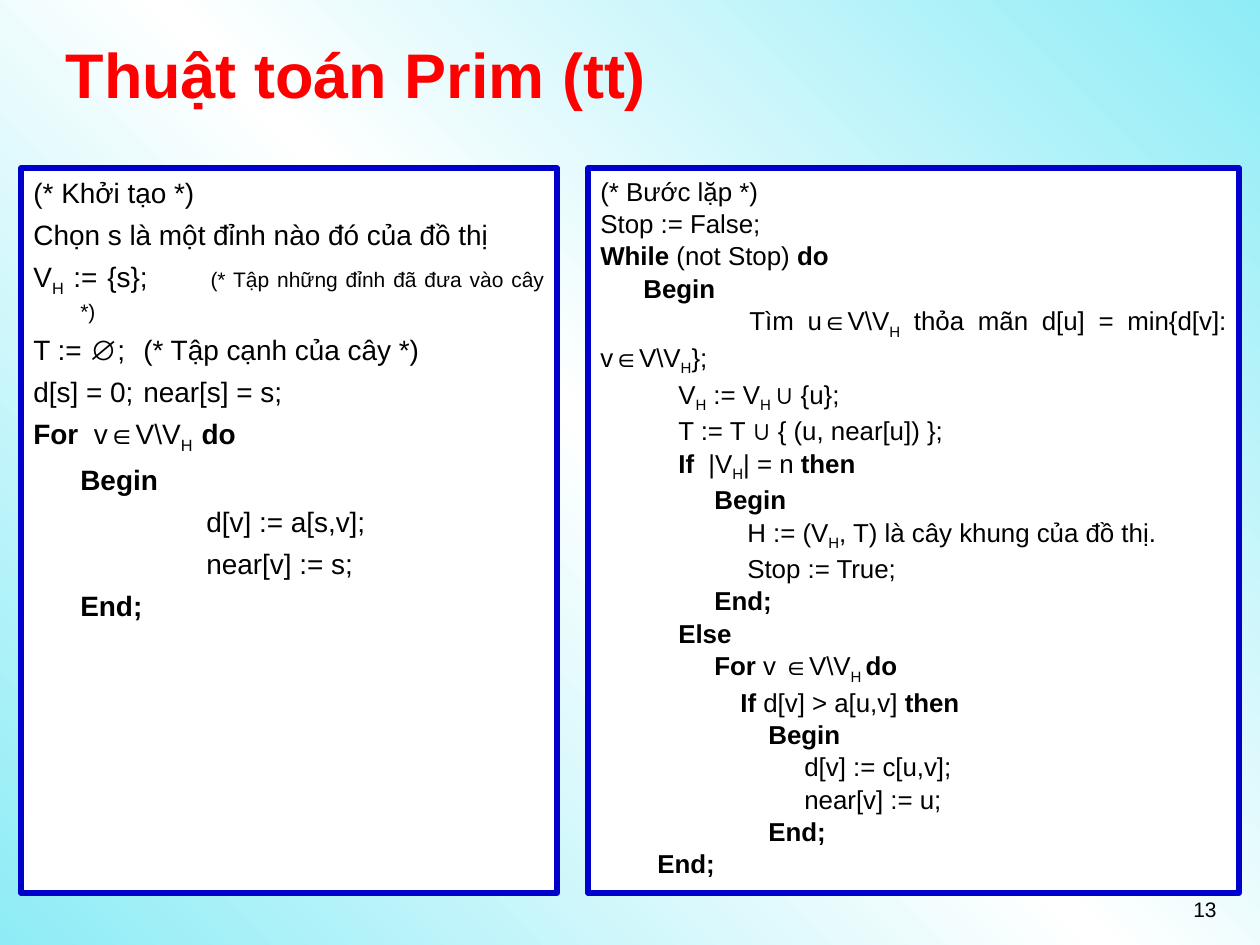
from copy import deepcopy

from pptx import Presentation
from pptx.dml.color import RGBColor
from pptx.enum.shapes import MSO_SHAPE
from pptx.enum.text import MSO_ANCHOR, PP_ALIGN as Align
from pptx.oxml.ns import qn
from pptx.oxml.xmlchemy import OxmlElement as Elem
from pptx.util import Pt

PX = 914400 // 126
FONT = "Arial"
AQUA = RGBColor(0x8E, 0xEC, 0xF6)
WHITE = RGBColor(255, 255, 255)
BLACK = RGBColor(0, 0, 0)
RED = RGBColor(255, 0, 0)
BLUE = RGBColor(0, 0, 0xCC)

# Marks in the code: ` bold, _ subscript, ^ small print; each turns on and off.
# Each line: (left margin, first-line indent, text), in px.
HANG = (47, -47)
START = [
    (*HANG, "(* Khởi tạo *)"),
    (*HANG, "Chọn s là một đỉnh nào đó của đồ thị"),
    (*HANG, "V_H_ := {s};\t^(* Tập những đỉnh đã đưa vào cây *)^"),
    (*HANG, "T := ∅;\t(* Tập cạnh của cây *)"),
    (*HANG, "d[s] = 0;\tnear[s] = s;"),
    (*HANG, "`For  `v∈V\\V_H  _`do`"),
    (47, 0, "`Begin`"),
    (173, 0, "d[v] := a[s,v];"),
    (173, 0, "near[v] := s;"),
    (47, 0, "`End;`"),
]
LOOP = [
    (0, 0, "(* Bước lặp *)"),
    (0, 0, "Stop := False;"),
    (0, 0, "`While` (not Stop) `do`"),
    (43, 0, "`Begin`"),
    (0, 149, "Tìm u∈V\\V_H_ thỏa mãn d[u] = min{d[v]: v∈V\\V_H_};"),
    (78, 0, "V_H_ := V_H _∪ {u};"),
    (78, 0, "T := T ∪ { (u, near[u]) };"),
    (78, 0, "`If`  |V_H_| = n `then`"),
    (114, 0, "`Begin`"),
    (147, 0, "H := (V_H_, T) là cây khung của đồ thị."),
    (147, 0, "Stop := True;"),
    (114, 0, "`End;`"),
    (78, 0, "`Else`"),
    (114, 0, "`For` v ∈V\\V_H _`do`"),
    (140, 0, "`If` d[v] > a[u,v] `then`"),
    (168, 0, "`Begin`"),
    (204, 0, "d[v] := c[u,v];"),
    (204, 0, "near[v] := u;"),
    (168, 0, "`End;`"),
    (57, 0, "`End;`"),
]


def place(shape, box):
    shape.left, shape.top, shape.width, shape.height = (n * PX for n in box)


def add_run(para, text, size=12, color=BLACK, bold=False, sub=False):
    run = para.add_run()
    run.text = text
    font = run.font
    font.name, font.size, font.bold = FONT, Pt(size), bold
    font.color.rgb = color
    if sub:
        font._element.set("baseline", "-25000")


def add_marked(para, text, size):
    """Split the text at its marks and add one run for each part."""
    on = dict.fromkeys("`_^", False)
    part = ""
    for char in text + "`":
        if char not in on:
            part += char
            continue
        if part:
            add_run(para, part, size=12 if on["^"] else size,
                    bold=on["`"], sub=on["_"])
        on[char] = not on[char]
        part = ""


def add_tab(para, pos):
    tabs = Elem("a:tabLst")
    tab = Elem("a:tab")
    tab.set("pos", str(pos * PX))
    tab.set("algn", "l")
    tabs.append(tab)
    para._p.get_or_add_pPr().append(tabs)


def add_code(slide, box, lines, size, gap=0):
    panel = slide.shapes.add_shape(MSO_SHAPE.RECTANGLE, 0, 0, 0, 0)
    place(panel, box)
    panel.shadow.inherit = False
    panel.fill.solid()
    panel.fill.fore_color.rgb = WHITE
    panel.line.color.rgb = BLUE
    panel.line.width = Pt(3)
    frame = panel.text_frame
    frame.word_wrap = True
    frame.vertical_anchor = MSO_ANCHOR.TOP
    for i, (left, first, text) in enumerate(lines):
        para = frame.add_paragraph() if i else frame.paragraphs[0]
        para.alignment = Align.JUSTIFY
        para.line_spacing = 1.04
        para.space_before = Pt(gap)
        props = para._p.get_or_add_pPr()
        props.set("marL", str(left * PX))
        props.set("indent", str(first * PX))
        if "\t" in text:
            add_tab(para, 126)
        add_marked(para, text, size)


def add_title(slide, box, text):
    title = slide.shapes.title
    place(title, box)
    frame = title.text_frame
    frame.vertical_anchor = MSO_ANCHOR.MIDDLE
    para = frame.paragraphs[0]
    para.alignment = Align.LEFT
    add_run(para, text, size=36, color=RED, bold=True)


def add_number(slide, box, text):
    note = slide.shapes.add_textbox(0, 0, 0, 0)
    place(note, box)
    note.text_frame.word_wrap = True
    para = note.text_frame.paragraphs[0]
    para.alignment = Align.RIGHT
    add_run(para, text)


def paint_back(slide):
    """Fill the background from aqua through white to aqua."""
    fill = slide.background.fill
    fill.gradient()
    fill.gradient_angle = 45
    stops = slide._element.find(".//" + qn("a:gsLst"))
    stops.append(deepcopy(stops[0]))
    for stop, color, pos in zip(fill.gradient_stops,
                                (AQUA, WHITE, AQUA), (0, 0.5, 1)):
        stop.color.rgb = color
        stop.position = pos


def main():
    deck = Presentation()
    deck.slide_width, deck.slide_height = 1260 * PX, 945 * PX
    slide = deck.slides.add_slide(deck.slide_layouts[5])
    paint_back(slide)
    add_title(slide, (53, 21, 1144, 105), "Thuật toán Prim (tt)")
    add_code(slide, (21, 168, 536, 725), START, 16, gap=4)
    add_number(slide, (935, 890, 294, 66), "13")
    add_code(slide, (588, 168, 651, 725), LOOP, 14.8)
    deck.save("out.pptx")


if __name__ == "__main__":
    main()
